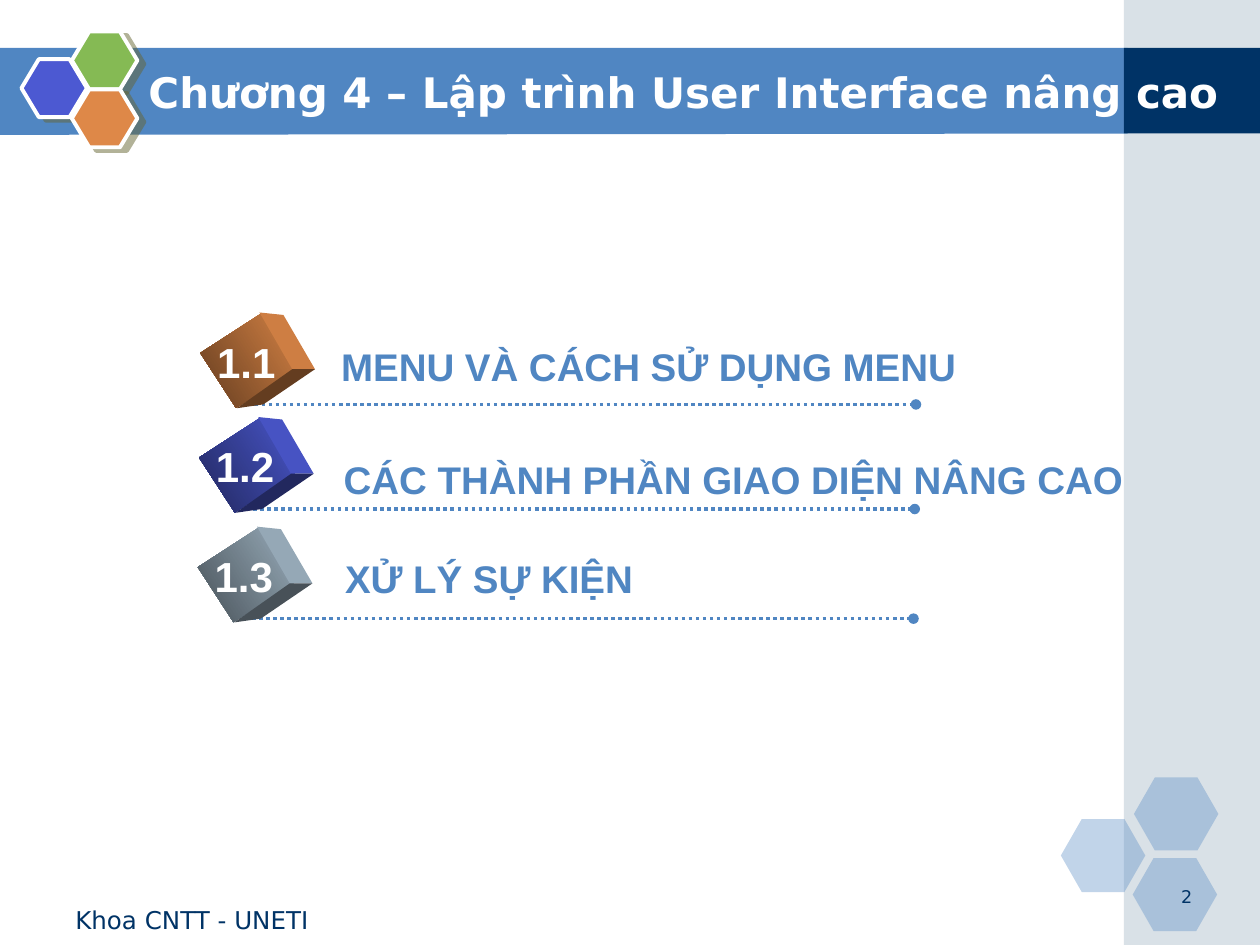
from lxml.etree import SubElement
from pptx import Presentation
from pptx.dml.color import RGBColor
from pptx.enum.dml import MSO_LINE
from pptx.enum.shapes import MSO_CONNECTOR, MSO_SHAPE
from pptx.enum.text import MSO_ANCHOR, PP_ALIGN
from pptx.oxml.ns import qn
from pptx.util import Inches, Pt

BLUE, NAVY, WHITE, GRAY = "5086C2", "003366", "FFFFFF", "A0B5C4"
INDIGO, GREEN, ORANGE = "4C59D2", "85BA54", "DE8848"


def rgb(color):
    """Turn a hex string into a colour."""
    return RGBColor.from_string(color)


def shade(color, factor):
    """Darken a hex colour by a factor."""
    return "".join(f"{round(int(color[i:i + 2], 16) * factor):02X}" for i in (0, 2, 4))


def paint(sp, color, alpha=100):
    """Give a shape a flat fill without line or shadow."""
    sp.shadow.inherit = False
    sp.fill.solid()
    sp.fill.fore_color.rgb = rgb(color)
    sp.line.fill.background()
    if alpha < 100:
        clr = sp.fill._xPr.find(qn("a:solidFill"))[0]
        SubElement(clr, qn("a:alpha"), val=str(alpha * 1000))


def add_shape(s, kind, left, top, width, height, color, alpha=100):
    """Add a filled preset shape."""
    sp = s.shapes.add_shape(kind, Inches(left), Inches(top), Inches(width), Inches(height))
    paint(sp, color, alpha)
    return sp


def add_polygon(s, points, color):
    """Add a closed filled outline through the points."""
    corners = [(Inches(x), Inches(y)) for x, y in points]
    builder = s.shapes.build_freeform(*corners[0])
    builder.add_line_segments(corners[1:], close=True)
    paint(builder.convert_to_shape(), color)


def add_text(s, text, left, top, width, height, size, color, font="DejaVu Sans",
             bold=False, align=PP_ALIGN.LEFT, anchor=MSO_ANCHOR.TOP, wrap=True):
    """Add a one-paragraph text box."""
    box = s.shapes.add_textbox(Inches(left), Inches(top), Inches(width), Inches(height))
    tf = box.text_frame
    tf.word_wrap = wrap
    tf.vertical_anchor = anchor
    tf.text = text
    p = tf.paragraphs[0]
    p.alignment = align
    f = p.runs[0].font
    f.size, f.name, f.bold = Pt(size), font, bold
    f.color.rgb = rgb(color)


def add_logo_hexagon(s, left, top, color):
    """Add a white-edged hexagon with a hard shadow."""
    sp = add_shape(s, MSO_SHAPE.HEXAGON, left, top, 0.52, 0.46, color)
    sp.adjustments[0] = 0.3
    sp.line.color.rgb = rgb(WHITE)
    sp.line.width = Pt(2.25)
    effects = sp._element.spPr.find(qn("a:effectLst"))
    shadow = SubElement(effects, qn("a:outerShdw"), blurRad="0", dist=str(Pt(4.5)),
                        dir=str(27 * 60000), algn="ctr", rotWithShape="0")
    clr = SubElement(shadow, qn("a:srgbClr"), val="666633")
    SubElement(clr, qn("a:alpha"), val="50000")


def add_dotted_line(s, x, y, length):
    """Add a dotted line ending in a dot."""
    line = s.shapes.add_connector(MSO_CONNECTOR.STRAIGHT, Inches(x), Inches(y),
                                  Inches(x + length), Inches(y))
    line.line.color.rgb = rgb(BLUE)
    line.line.width = Pt(2)
    line.line.dash_style = MSO_LINE.ROUND_DOT
    SubElement(line.line._get_or_add_ln(), qn("a:tailEnd"), type="oval")
    SubElement(line._element.spPr, qn("a:effectLst"))


def add_cube(s, x, y, color):
    """Add a tilted cube placed from the start of its line."""
    front = add_shape(s, MSO_SHAPE.RECTANGLE, x - 0.31, y - 0.63, 0.52, 0.57, color)
    front.rotation = 57
    front.fill.gradient()
    front.fill.gradient_angle = 270
    for stop, factor in zip(front.fill.gradient_stops, (0.95, 0.45)):
        stop.color.rgb = rgb(shade(color, factor))
    side = [(0.04, -0.73), (0.23, -0.71), (0.48, -0.28), (0.3, -0.28)]
    bottom = [(-0.14, 0.03), (0.3, -0.28), (0.48, -0.28), (0.07, 0)]
    for face, factor in ((side, 0.93), (bottom, 0.45)):
        add_polygon(s, [(x + dx, y + dy) for dx, dy in face], shade(color, factor))


def add_item(s, number, label, x, y, color, label_left, label_top, label_width):
    """Add one agenda row."""
    add_dotted_line(s, x, y, 5.25)
    add_cube(s, x, y, color)
    add_text(s, number, x - 0.4, y - 0.59, 0.67, 0.5, 24, WHITE, "Arial", True,
             PP_ALIGN.CENTER, wrap=False)
    add_text(s, label, label_left, label_top, label_width, 0.47, 22, BLUE, "Arial", True)


def add_background(s):
    """Add the header band, side column and hexagons."""
    add_polygon(s, [(-0.01, 0.38), (8.95, 0.38), (8.95, 1.06), (-0.01, 1.07)], BLUE)
    add_shape(s, MSO_SHAPE.RECTANGLE, 8.92, 0, 1.08, 7.5, GRAY, 40)
    add_shape(s, MSO_SHAPE.RECTANGLE, 8.92, 0.38, 1.08, 0.68, NAVY)
    for left, top in ((8.42, 6.5), (9, 6.17), (8.99, 6.81)):
        hexagon = add_shape(s, MSO_SHAPE.HEXAGON, left, top, 0.67, 0.58, BLUE, 35)
        hexagon.adjustments[0] = 0.286
    for left, top, color in ((0.17, 0.47, INDIGO), (0.57, 0.25, GREEN), (0.57, 0.71, ORANGE)):
        add_logo_hexagon(s, left, top, color)


def main():
    """Build and save the slide."""
    prs = Presentation()
    prs.slide_width, prs.slide_height = Inches(10), Inches(7.5)
    s = prs.slides.add_slide(prs.slide_layouts[6])
    add_background(s)
    add_text(s, "Chương 4 – Lập trình User Interface nâng cao", 1.08, 0.42, 9.25, 0.62,
             24, WHITE, bold=True, anchor=MSO_ANCHOR.MIDDLE)
    items = [
        ("1.1", "MENU VÀ CÁCH SỬ DỤNG MENU", 2.02, 3.21, ORANGE, 2.61, 2.67, 7),
        ("1.2", "CÁC THÀNH PHẦN GIAO DIỆN NÂNG CAO", 2.01, 4.04, INDIGO, 2.63, 3.57, 7),
        ("1.3", "XỬ LÝ SỰ KIỆN", 2, 4.91, GRAY, 2.64, 4.36, 3),
    ]
    for item in items:
        add_item(s, *item)
    add_text(s, "Khoa CNTT - UNETI", 0.5, 7.13, 2.33, 0.27, 14, NAVY)
    add_text(s, "2", 9.06, 6.98, 0.5, 0.25, 10, NAVY, align=PP_ALIGN.RIGHT)
    prs.save("out.pptx")


if __name__ == "__main__":
    main()
